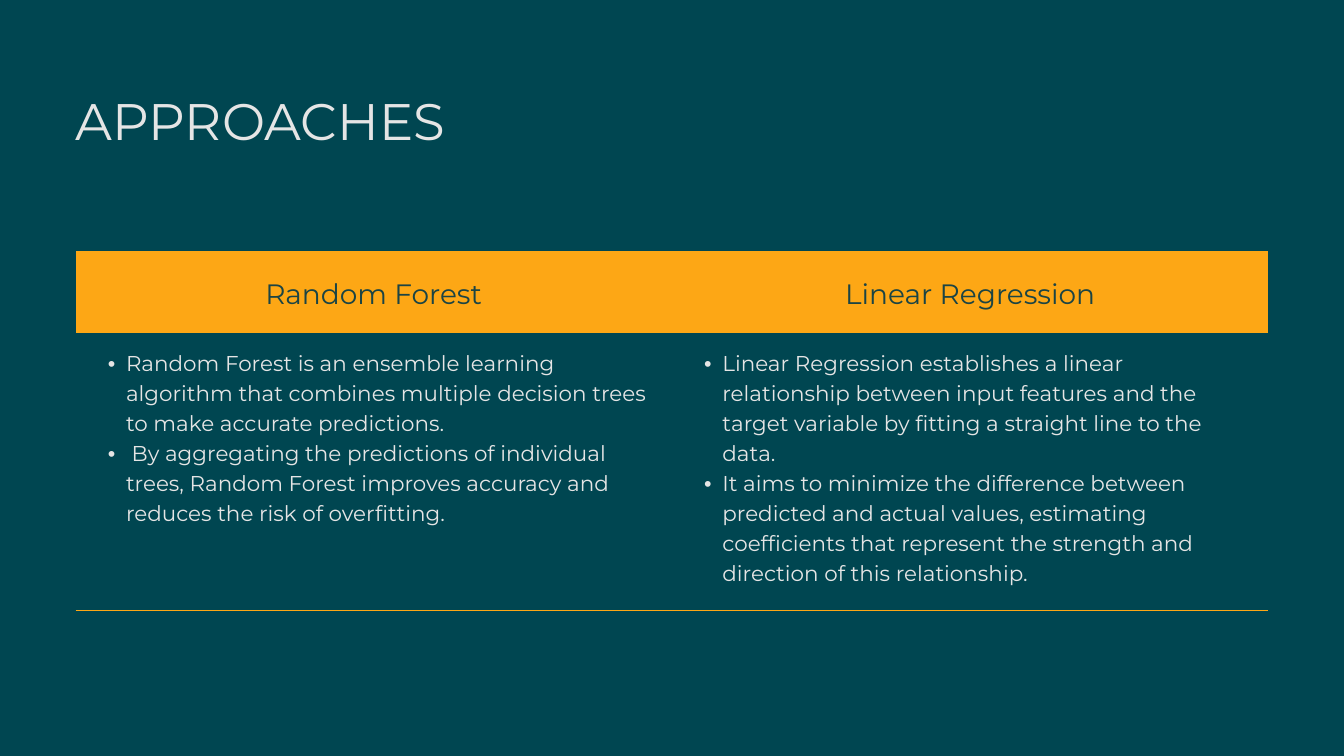
"""Build a slide that compares two modelling approaches in a table."""
from lxml.etree import SubElement
from pptx import Presentation
from pptx.dml.color import RGBColor
from pptx.enum.text import MSO_ANCHOR, PP_ALIGN
from pptx.oxml import parse_xml
from pptx.oxml.ns import nsdecls, qn
from pptx.util import Pt

TITLE = "APPROACHES"
APPROACHES = {
    "Random Forest": [
        "Random Forest is an ensemble learning algorithm that combines multiple decision trees to make accurate predictions.",
        " By aggregating the predictions of individual trees, Random Forest improves accuracy and reduces the risk of overfitting.",
    ],
    "Linear Regression": [
        "Linear Regression establishes a linear relationship between input features and the target variable by fitting a straight line to the data.",
        "It aims to minimize the difference between predicted and actual values, estimating coefficients that represent the strength and direction of this relationship.",
    ],
}

FONT = "Montserrat"
TEAL, ORANGE, LIGHT, DARK = "004651", "FDA715", "E5E5E5", "1B4444"
SLIDE_WIDTH, SLIDE_HEIGHT = 1440, 810
MARGIN = 81
TABLE_TOP = 269.3
HEADER_HEIGHT, BODY_HEIGHT = 87.1, 298
CELL_PADDING = 15
BULLET_INDENT, BULLET_HANG = 39, 19.5
PLAIN_TABLE_STYLE = "{2D5ABB26-0587-4C30-8999-92F81FD0307C}"


def color(value):
    return RGBColor.from_string(value)


def write(paragraph, text, size, line_spacing, text_color):
    paragraph.line_spacing = Pt(line_spacing)
    run = paragraph.add_run()
    run.text = text
    run.font.name = FONT
    run.font.size = Pt(size)
    run.font.color.rgb = color(text_color)


def add_bullet(paragraph):
    properties = paragraph._p.get_or_add_pPr()
    properties.set("lvl", "1")
    properties.set("marL", str(Pt(BULLET_INDENT)))
    properties.set("indent", str(-Pt(BULLET_HANG)))
    SubElement(properties, qn("a:buFont")).set("typeface", "Arial")
    SubElement(properties, qn("a:buChar")).set("char", "•")


def add_bottom_border(cell, width, border_color):
    border = parse_xml(
        f'<a:lnB {nsdecls("a")} w="{Pt(width)}"><a:solidFill>'
        f'<a:srgbClr val="{border_color}"/></a:solidFill></a:lnB>'
    )
    cell._tc.get_or_add_tcPr().insert(0, border)


def pad(cell):
    cell.margin_left = cell.margin_right = Pt(CELL_PADDING)
    cell.margin_top = cell.margin_bottom = Pt(CELL_PADDING)


def add_title(slide):
    box = slide.shapes.add_textbox(Pt(MARGIN), Pt(101), Pt(686), Pt(62))
    frame = box.text_frame
    frame.word_wrap = True
    frame.margin_left = frame.margin_right = 0
    frame.margin_top = frame.margin_bottom = 0
    write(frame.paragraphs[0], TITLE, 55, 60.5, LIGHT)


def fill_header(cell, heading):
    pad(cell)
    cell.vertical_anchor = MSO_ANCHOR.MIDDLE
    cell.fill.solid()
    cell.fill.fore_color.rgb = color(ORANGE)
    paragraph = cell.text_frame.paragraphs[0]
    paragraph.alignment = PP_ALIGN.CENTER
    write(paragraph, heading, 30, 42, DARK)


def fill_body(cell, points):
    pad(cell)
    cell.vertical_anchor = MSO_ANCHOR.TOP
    cell.fill.background()
    add_bottom_border(cell, 1.5, ORANGE)
    frame = cell.text_frame
    for index, point in enumerate(points):
        paragraph = frame.add_paragraph() if index else frame.paragraphs[0]
        write(paragraph, point, 23, 32.2, LIGHT)
        add_bullet(paragraph)


def add_comparison(slide):
    width = SLIDE_WIDTH - 2 * MARGIN
    frame = slide.shapes.add_table(
        2, len(APPROACHES), Pt(MARGIN), Pt(TABLE_TOP),
        Pt(width), Pt(HEADER_HEIGHT + BODY_HEIGHT),
    )
    table = frame.table
    table.first_row = table.horz_banding = False
    table._tbl.tblPr.find(qn("a:tableStyleId")).text = PLAIN_TABLE_STYLE
    for row, height in zip(table.rows, (HEADER_HEIGHT, BODY_HEIGHT)):
        row.height = Pt(height)
    for index, (heading, points) in enumerate(APPROACHES.items()):
        table.columns[index].width = Pt(width / len(APPROACHES))
        fill_header(table.cell(0, index), heading)
        fill_body(table.cell(1, index), points)


def main():
    presentation = Presentation()
    presentation.slide_width = Pt(SLIDE_WIDTH)
    presentation.slide_height = Pt(SLIDE_HEIGHT)
    slide = presentation.slides.add_slide(presentation.slide_layouts[6])
    slide.background.fill.solid()
    slide.background.fill.fore_color.rgb = color(TEAL)
    add_title(slide)
    add_comparison(slide)
    presentation.save("out.pptx")


if __name__ == "__main__":
    main()
